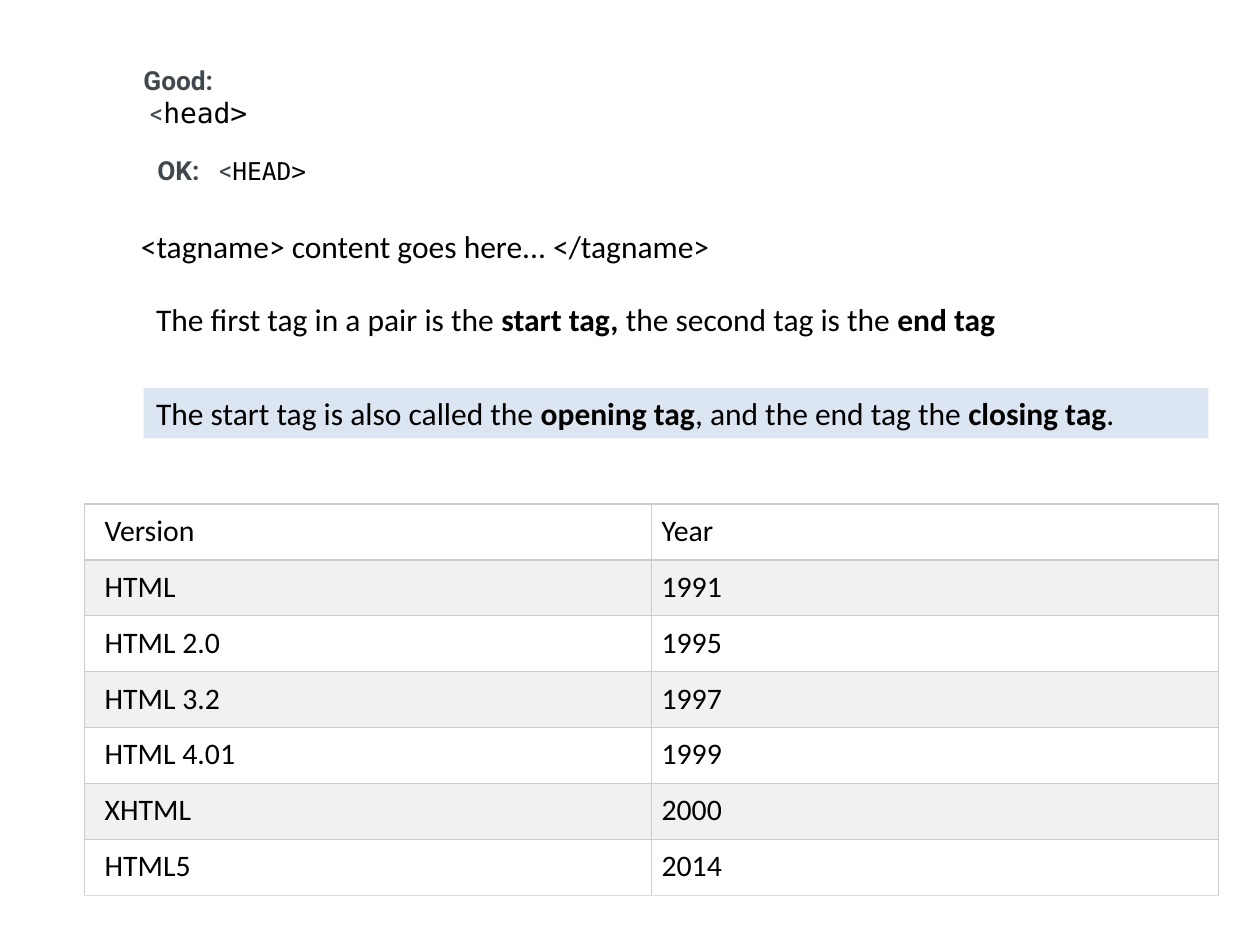
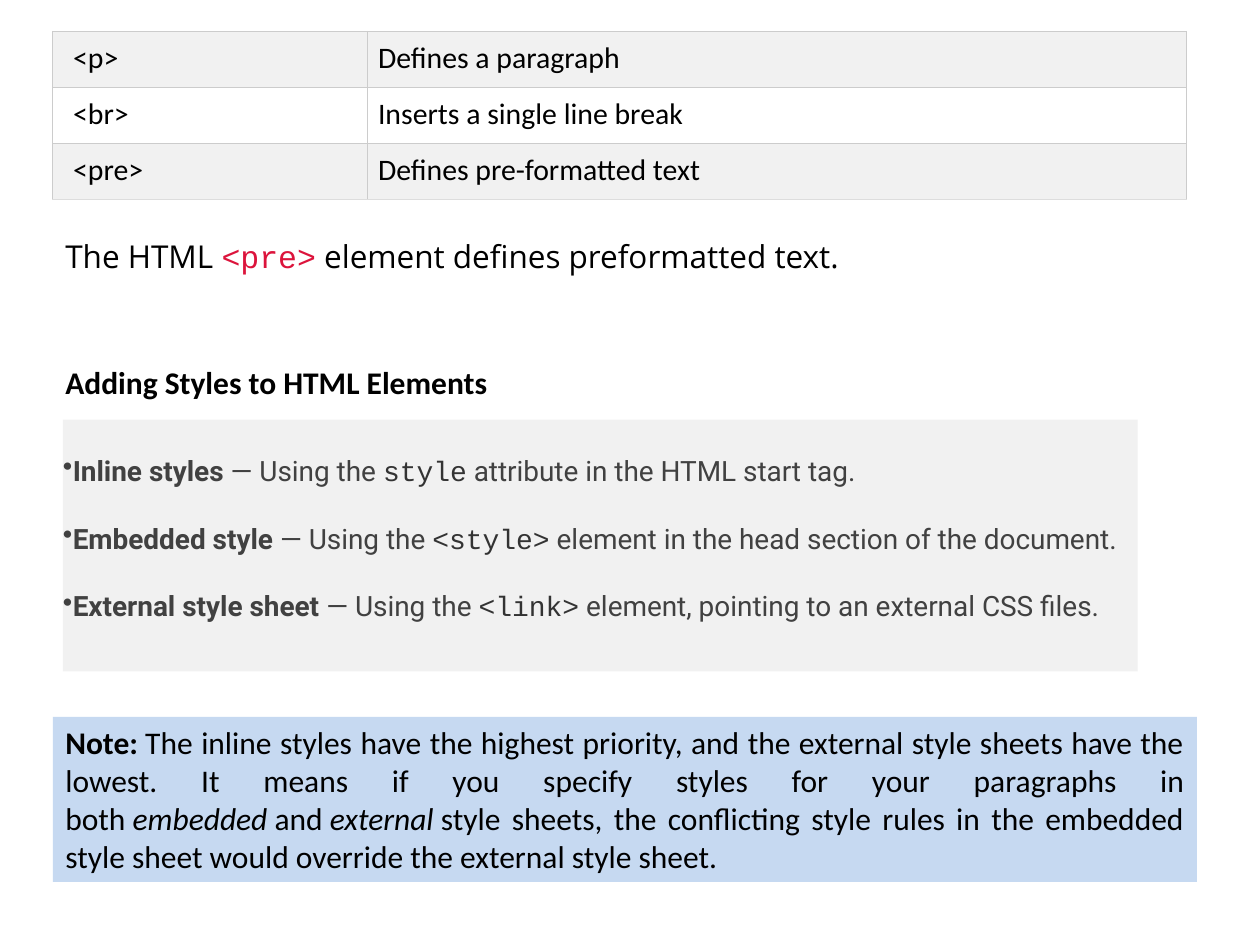
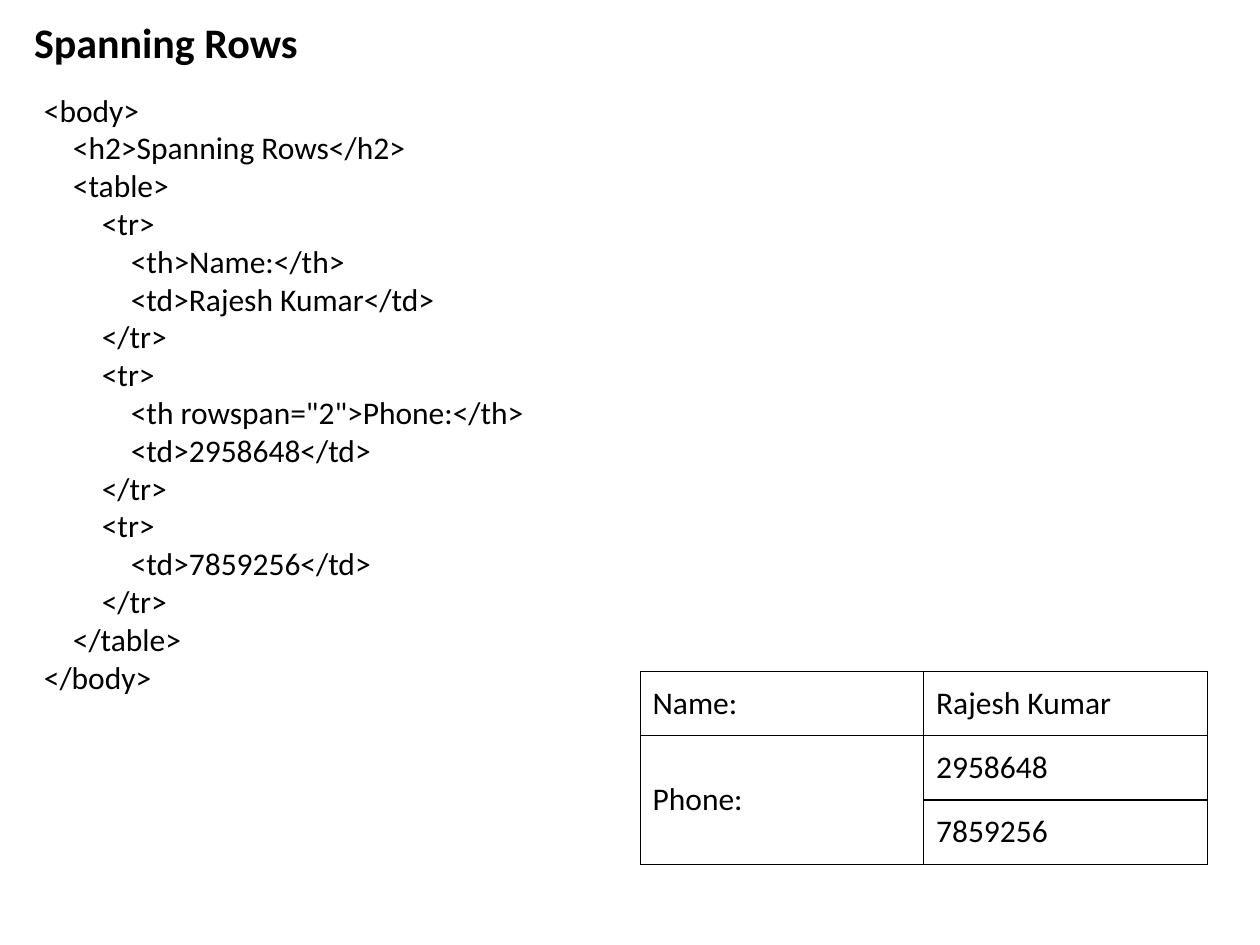
from dataclasses import dataclass
from pptx import Presentation
from pptx.dml.color import RGBColor
from pptx.enum.shapes import MSO_SHAPE
from pptx.enum.text import MSO_ANCHOR, MSO_AUTO_SIZE, PP_ALIGN
from pptx.oxml.ns import qn
from pptx.util import Inches, Pt
from lxml.etree import SubElement


@dataclass(frozen=True)
class Theme:
    black: str = "000000"
    slate: str = "41484D"
    grey_text: str = "414141"
    code_text: str = "333333"
    crimson: str = "DC143C"
    white: str = "FFFFFF"
    band: str = "F1F1F1"
    pale_blue: str = "DCE6F2"
    note_blue: str = "C6D9F1"
    grid: str = "CCCCCC"
    grid_end: str = "DDDDDD"
    sans: str = "Calibri"
    label: str = "Roboto"
    mono: str = "DejaVu Sans Mono"
    courier: str = "Courier New"
    humanist: str = "Open Sans"
    title_size: int = 24
    body_size: int = 18
    table_size: int = 17
    list_size: int = 16
    label_size: int = 15
    small_size: int = 14
    line_width: float = 0.75


THEME = Theme()

STYLES = {
    "title": (THEME.sans, THEME.title_size, THEME.black, True, False),
    "body": (THEME.sans, THEME.body_size, THEME.black, False, False),
    "bold": (THEME.sans, THEME.body_size, THEME.black, True, False),
    "italic": (THEME.sans, THEME.body_size, THEME.black, False, True),
    "table": (THEME.sans, THEME.table_size, THEME.black, False, False),
    "label": (THEME.label, THEME.label_size, THEME.slate, True, False),
    "bracket": (THEME.label, THEME.label_size, THEME.slate, False, False),
    "lower tag": (THEME.mono, THEME.list_size, THEME.black, False, False),
    "upper tag": (THEME.mono, THEME.small_size, THEME.black, False, False),
    "sentence": (THEME.humanist, THEME.body_size, THEME.black, False, False),
    "red code": (THEME.courier, THEME.body_size, THEME.crimson, False, False),
    "list": (THEME.label, THEME.list_size, THEME.grey_text, False, False),
    "list bold": (THEME.label, THEME.list_size, THEME.grey_text, True, False),
    "list code": (THEME.courier, THEME.list_size, THEME.code_text, False, False),
}

GOOD_CASE = [
    [("Good: ", "label")],
    [("\u00a0<", "bracket"), ("head>", "lower tag")],
]
OK_CASE = [[("OK:", "label"), ("\t<", "bracket"), ("HEAD>", "upper tag")]]
TAG_SYNTAX = [[("<tagname> content goes here... </tagname>", "body")]]
TAG_PAIR = [[
    ("The first tag in a pair is the\u00a0", "body"),
    ("start tag,", "bold"),
    ("\u00a0the second tag is the\u00a0", "body"),
    ("end tag", "bold"),
]]
TAG_ALIASES = [[
    ("The start tag is also called the\u00a0", "body"),
    ("opening tag", "bold"),
    (", and the end tag the\u00a0", "body"),
    ("closing tag", "bold"),
    (".", "body"),
]]
VERSIONS = [
    ("Version", "Year"),
    ("HTML", "1991"),
    ("HTML 2.0", "1995"),
    ("HTML 3.2", "1997"),
    ("HTML 4.01", "1999"),
    ("XHTML", "2000"),
    ("HTML5", "2014"),
]
TEXT_TAGS = [
    ("<p>", "Defines a paragraph"),
    ("<br>", "Inserts a single line break"),
    ("<pre>", "Defines pre-formatted text"),
]
PRE_ELEMENT = [[
    ("The HTML\u00a0", "sentence"),
    ("<pre>", "red code"),
    ("\u00a0element defines preformatted text. ", "sentence"),
]]
STYLES_HEADING = [[("Adding Styles to HTML Elements", "bold")]]
STYLE_KINDS = [
    ("Inline styles", "style", "attribute in the HTML start tag."),
    ("Embedded style", "<style>", "element in the head section of the document."),
    ("External style sheet", "<link>", "element, pointing to an external CSS files."),
]
PRIORITY_NOTE = [[
    ("Note:", "bold"),
    ("\u00a0The inline styles have the highest priority, and the external style "
     "sheets have the lowest. It means if you specify styles for your paragraphs "
     "in both\u00a0", "body"),
    ("embedded", "italic"),
    ("\u00a0and\u00a0", "body"),
    ("external", "italic"),
    ("\u00a0style sheets, the conflicting style rules in the embedded style sheet "
     "would override the external style sheet.", "body"),
]]
SPANNING_TITLE = [[("Spanning Rows", "title")]]
SPANNING_CODE = [
    (0, "<body>"),
    (1, "<h2>Spanning Rows</h2>"),
    (1, "<table>"),
    (2, "<tr>"),
    (3, "<th>Name:</th>"),
    (3, "<td>Rajesh Kumar</td>"),
    (2, "</tr>"),
    (2, "<tr>"),
    (3, '<th rowspan="2">Phone:</th>'),
    (3, "<td>2958648</td>"),
    (2, "</tr>"),
    (2, "<tr>"),
    (3, "<td>7859256</td>"),
    (2, "</tr>"),
    (1, "</table>"),
    (0, "</body>"),
]
CONTACT = [("Name:", "Rajesh Kumar"), ("Phone:", "2958648"), ("", "7859256")]

DEFAULT_INSETS = (0.1, 0.05, 0.1, 0.05)
LABEL_INSETS = (0.1, 0, 0.1, 0.31)
CODE_INDENT = 0.23
TAB_STOP = 0.49


def rgb(value):
    return RGBColor.from_string(value)


def format_run(run, style):
    name, size, color, bold, italic = STYLES[style]
    run.font.name = name
    run.font.size = Pt(size)
    run.font.color.rgb = rgb(color)
    run.font.bold = bold
    run.font.italic = italic


def fill_text(shape, paragraphs, insets=DEFAULT_INSETS, anchor=MSO_ANCHOR.TOP,
              align=PP_ALIGN.LEFT, wrap=True):
    frame = shape.text_frame
    frame.word_wrap = wrap
    frame.auto_size = MSO_AUTO_SIZE.NONE
    frame.vertical_anchor = anchor
    (frame.margin_left, frame.margin_top,
     frame.margin_right, frame.margin_bottom) = map(Inches, insets)
    for index, parts in enumerate(paragraphs):
        paragraph = frame.add_paragraph() if index else frame.paragraphs[0]
        paragraph.alignment = align
        for text, style in parts:
            run = paragraph.add_run()
            run.text = text
            format_run(run, style)
    return frame.paragraphs


def add_text(slide, place, paragraphs, **options):
    box = slide.shapes.add_textbox(*map(Inches, place))
    return fill_text(box, paragraphs, **options)


def add_panel(slide, place, color, paragraphs, **options):
    panel = slide.shapes.add_shape(MSO_SHAPE.RECTANGLE, *map(Inches, place))
    panel.shadow.inherit = False
    panel.fill.solid()
    panel.fill.fore_color.rgb = rgb(color)
    panel.line.fill.background()
    return fill_text(panel, paragraphs, **options)


def set_borders(cell, color, bottom):
    properties = cell._tc.get_or_add_tcPr()
    for position, side in enumerate(("lnL", "lnR", "lnT", "lnB")):
        line = properties.makeelement(qn("a:" + side), {"w": str(Pt(THEME.line_width))})
        solid = SubElement(line, qn("a:solidFill"))
        SubElement(solid, qn("a:srgbClr"), val=bottom if side == "lnB" else color)
        properties.insert(position, line)


def add_grid(slide, left, top, widths, row_height, rows, style, margins,
             border, last_border, fills=None, anchor=MSO_ANCHOR.TOP):
    frame = slide.shapes.add_table(
        len(rows), len(widths), Inches(left), Inches(top),
        Inches(sum(widths)), Inches(row_height * len(rows)))
    table = frame.table
    table.first_row = False
    table.horz_banding = False
    for column, width in zip(table.columns, widths):
        column.width = Inches(width)
    for row_index, values in enumerate(rows):
        table.rows[row_index].height = Inches(row_height)
        is_last = row_index == len(rows) - 1
        for column_index, value in enumerate(values):
            cell = table.cell(row_index, column_index)
            cell.text_frame.text = value
            for run in cell.text_frame.paragraphs[0].runs:
                format_run(run, style)
            first_margin, side_margin, end_margin = margins
            cell.margin_left = Inches(side_margin if column_index else first_margin)
            cell.margin_right = Inches(side_margin)
            cell.margin_top = cell.margin_bottom = Inches(end_margin)
            cell.vertical_anchor = anchor
            if fills:
                cell.fill.solid()
                cell.fill.fore_color.rgb = rgb(fills[row_index % len(fills)])
            else:
                cell.fill.background()
            set_borders(cell, border, last_border if is_last else border)
    return table


def add_banded_grid(slide, left, top, widths, rows, fills):
    return add_grid(slide, left, top, widths, 3.11 / 7, rows, "table",
                    (0.16, 0.08, 0.07), THEME.grid, THEME.grid_end, fills)


def add_bullet(paragraph):
    properties = paragraph._p.get_or_add_pPr()
    properties.set("marL", "0")
    properties.set("indent", "0")
    SubElement(properties, qn("a:buChar"), char="\u2022")


def add_tab_stop(paragraph, position):
    stops = SubElement(paragraph._p.get_or_add_pPr(), qn("a:tabLst"))
    SubElement(stops, qn("a:tab"), pos=str(Inches(position)), algn="l")


def build_tags_slide(presentation):
    slide = presentation.slides.add_slide(presentation.slide_layouts[6])
    labels = {"insets": LABEL_INSETS, "anchor": MSO_ANCHOR.MIDDLE}
    add_text(slide, (1.04, 0.33, 1.57, 1.19), GOOD_CASE, **labels)
    ok_line = add_text(slide, (1.15, 0.92, 1.43, 1.17), OK_CASE, **labels)[0]
    add_tab_stop(ok_line, TAB_STOP)
    add_text(slide, (1.02, 1.75, 4.77, 0.4), TAG_SYNTAX, wrap=False)
    add_text(slide, (1.14, 2.33, 7.08, 0.4), TAG_PAIR)
    add_panel(slide, (1.14, 3.08, 8.45, 0.4), THEME.pale_blue, TAG_ALIASES)
    add_banded_grid(slide, 0.67, 4, (4.5, 4.5), VERSIONS, (THEME.white, THEME.band))


def build_styles_slide(presentation):
    slide = presentation.slides.add_slide(presentation.slide_layouts[6])
    add_banded_grid(slide, 0.42, 0.25, (2.5, 6.5), TEXT_TAGS, (THEME.band, THEME.white))
    add_text(slide, (0.42, 1.83, 6.86, 0.4), PRE_ELEMENT, anchor=MSO_ANCHOR.MIDDLE)
    add_text(slide, (0.42, 2.83, 3.58, 0.4), STYLES_HEADING, wrap=False)
    items = [
        [(name, "list bold"), ("\u00a0\u2014 Using the\u00a0", "list"),
         (code, "list code"), ("\u00a0" + ending, "list")]
        for name, code, ending in STYLE_KINDS
    ]
    bullets = add_panel(slide, (0.5, 3.33, 8.53, 2), THEME.band, items,
                        insets=(0, 0, 0, 0.12), anchor=MSO_ANCHOR.MIDDLE)
    for paragraph in bullets[:-1]:
        paragraph.space_after = Pt(19.5)
    for paragraph in bullets:
        add_bullet(paragraph)
    add_panel(slide, (0.42, 5.69, 9.08, 1.31), THEME.note_blue, PRIORITY_NOTE,
              align=PP_ALIGN.JUSTIFY)


def build_spanning_slide(presentation):
    slide = presentation.slides.add_slide(presentation.slide_layouts[5])
    title = slide.shapes.title
    title.left, title.top, title.width, title.height = map(Inches, (0.17, 0.08, 2.31, 0.5))
    fill_text(title, SPANNING_TITLE, wrap=False)
    lines = add_text(slide, (0.25, 0.67, 6.17, 4.95),
                     [[(text, "body")] for _, text in SPANNING_CODE])
    for paragraph, (depth, _) in zip(lines, SPANNING_CODE):
        properties = paragraph._p.get_or_add_pPr()
        properties.set("marL", str(Inches(depth * CODE_INDENT)))
        properties.set("indent", "0")
    table = add_grid(slide, 5.08, 5.33, (2.25, 2.25), 0.51, CONTACT, "body",
                     (0.1, 0.1, 0.1), THEME.black, THEME.black,
                     anchor=MSO_ANCHOR.MIDDLE)
    table.cell(1, 0).merge(table.cell(2, 0))


presentation = Presentation()
presentation.slide_width = Inches(10)
presentation.slide_height = Inches(7.5)
build_tags_slide(presentation)
build_styles_slide(presentation)
build_spanning_slide(presentation)
presentation.save("out.pptx")
